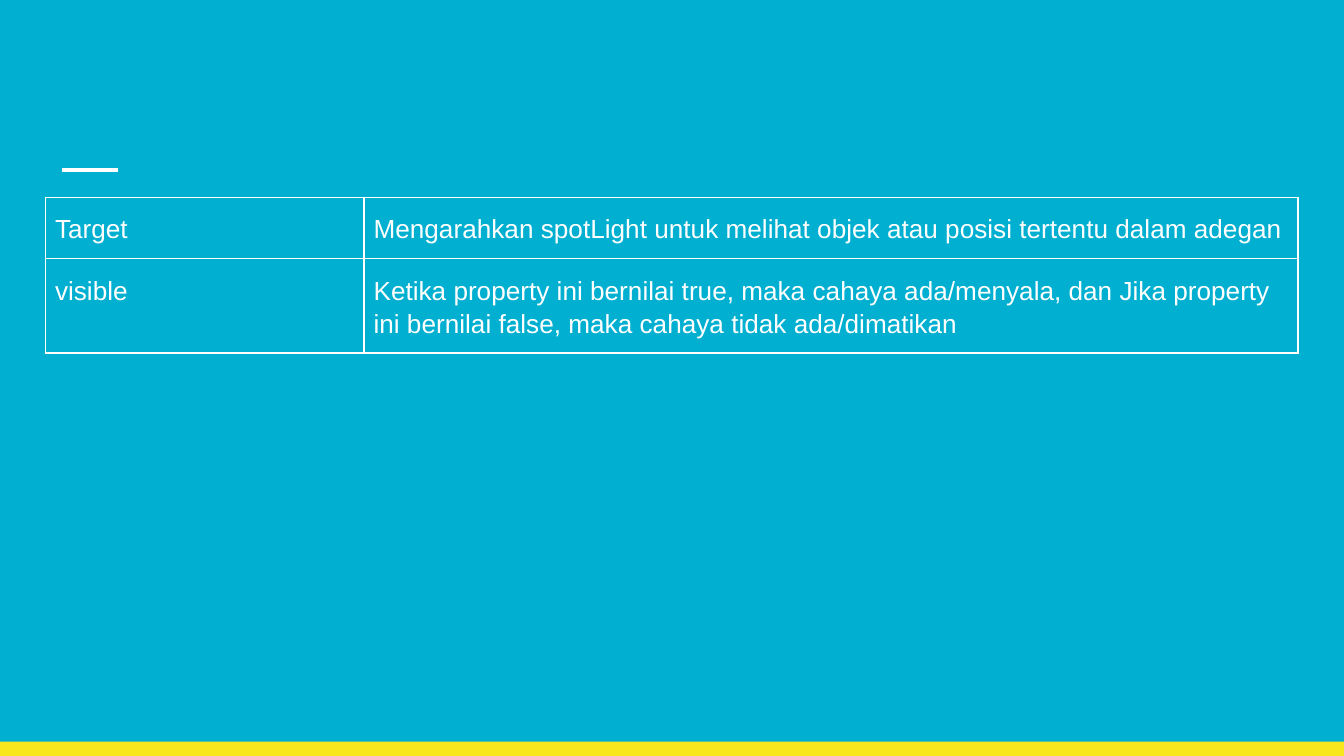
from dataclasses import dataclass

from lxml import etree
from pptx import Presentation
from pptx import util as u
from pptx.dml.color import RGBColor
from pptx.enum import shapes
from pptx.oxml import ns


@dataclass(frozen=True)
class Theme:
    background: str = "01AFD1"
    accent: str = "F8E71C"
    ink: str = "FFFFFF"
    font: str = "Arial"
    body_size: float = 14
    rule_width: float = 2.25
    border_width: float = 1
    line_spacing: float = 1.15


def write_text(frame, content, *, font, size, color, line_spacing):
    frame.word_wrap = True
    para = frame.paragraphs[0]
    para.line_spacing = line_spacing
    para.space_before = u.Pt(0)
    span = para.add_run()
    span.text = content
    span.font.name = font
    span.font.size = u.Pt(size)
    span.font.color.rgb = RGBColor.from_string(color)


class SlideBuilder:
    def __init__(self, page, theme):
        self.page = page
        self.theme = theme

    def background(self):
        fill = self.page.background.fill
        fill.solid()
        fill.fore_color.rgb = RGBColor.from_string(self.theme.background)

    def band(self, left, top, width, height):
        box = self.page.shapes.add_shape(
            shapes.MSO_SHAPE.RECTANGLE, u.Cm(left), u.Cm(top), u.Cm(width), u.Cm(height)
        )
        box.shadow.inherit = False
        box.fill.solid()
        box.fill.fore_color.rgb = RGBColor.from_string(self.theme.accent)
        box.line.fill.background()

    def rule(self, left, top, length):
        line = self.page.shapes.add_connector(
            shapes.MSO_CONNECTOR.STRAIGHT, u.Cm(left), u.Cm(top), u.Cm(left + length), u.Cm(top)
        )
        line.line.color.rgb = RGBColor.from_string(self.theme.ink)
        line.line.width = u.Pt(self.theme.rule_width)
        etree.SubElement(line._element.spPr, ns.qn("a:effectLst"))

    def table(self, left, top, column_widths, row_heights, rows):
        table = self.page.shapes.add_table(
            len(rows), len(column_widths), u.Cm(left), u.Cm(top),
            u.Cm(sum(column_widths)), u.Cm(sum(row_heights)),
        ).table
        table.first_row = table.horz_banding = False
        for column, width in zip(table.columns, column_widths):
            column.width = u.Cm(width)
        for row, height, contents in zip(table.rows, row_heights, rows):
            row.height = u.Cm(height)
            for cell, content in zip(row.cells, contents):
                self.cell(cell, content)

    def cell(self, cell, content):
        cell.margin_left = cell.margin_right = u.Cm(0.18)
        cell.margin_top = cell.margin_bottom = u.Cm(0.25)
        write_text(
            cell.text_frame, content, font=self.theme.font, size=self.theme.body_size,
            color=self.theme.ink, line_spacing=self.theme.line_spacing,
        )
        properties = cell._tc.get_or_add_tcPr()
        for side in ("lnL", "lnR", "lnT", "lnB"):
            border = etree.SubElement(
                properties, ns.qn(f"a:{side}"), w=str(u.Pt(self.theme.border_width))
            )
            fill = etree.SubElement(border, ns.qn("a:solidFill"))
            etree.SubElement(fill, ns.qn("a:srgbClr"), val=self.theme.ink)
        cell.fill.background()


def main():
    deck = Presentation()
    deck.slide_width, deck.slide_height = u.Cm(25.4), u.Cm(14.29)
    page = deck.slides.add_slide(deck.slide_layouts[6])
    builder = SlideBuilder(page, Theme())
    builder.background()
    builder.band(0, 14.02, 25.4, 0.27)
    builder.rule(1.17, 3.21, 1.06)
    builder.table(
        0.86, 3.73, [6.02, 17.65], [1.16, 1.78],
        [
            ("Target", "Mengarahkan spotLight untuk melihat objek atau posisi tertentu dalam adegan"),
            (
                "visible",
                "Ketika property ini bernilai true, maka cahaya ada/menyala, dan Jika property "
                "ini bernilai false, maka cahaya tidak ada/dimatikan",
            ),
        ],
    )
    deck.save("out.pptx")


if __name__ == "__main__":
    main()
